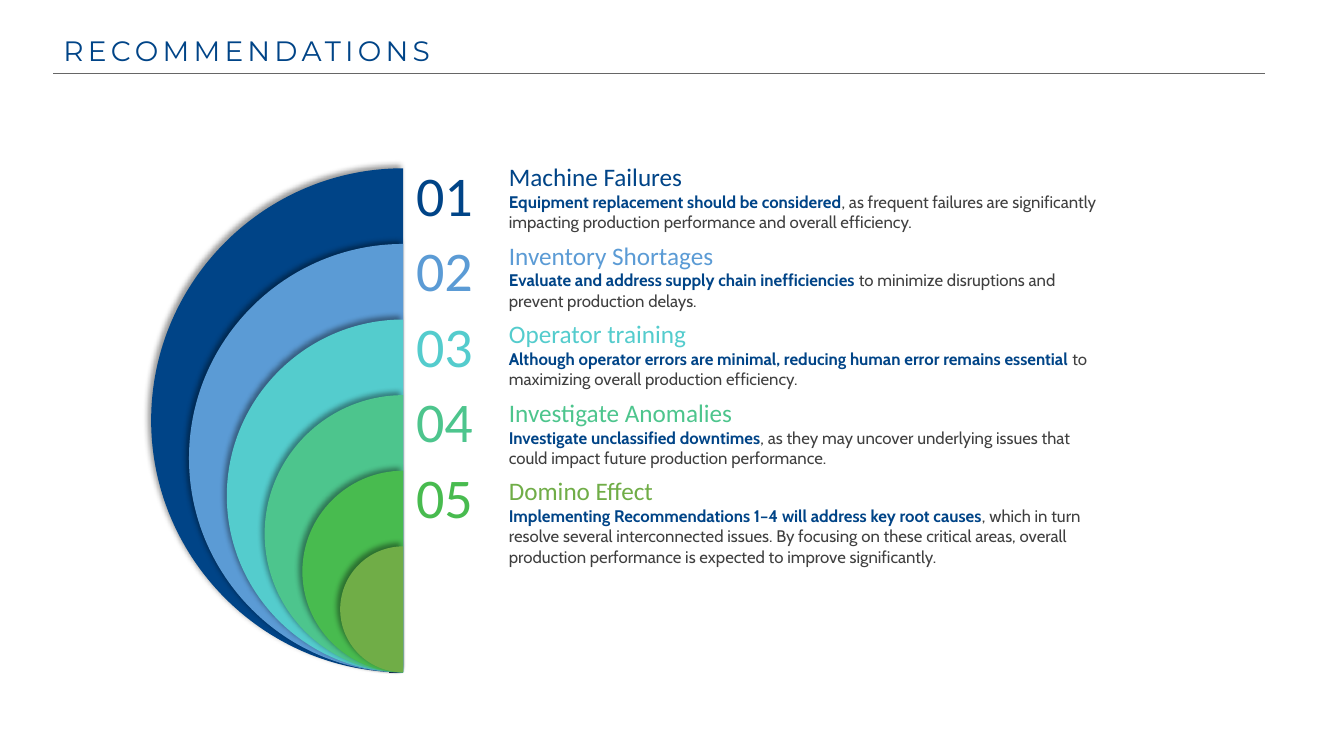
from dataclasses import dataclass

from lxml.etree import SubElement
from pptx import Presentation
from pptx.dml.color import RGBColor
from pptx.enum.shapes import MSO_CONNECTOR
from pptx.enum.text import MSO_ANCHOR, MSO_AUTO_SIZE, PP_ALIGN
from pptx.oxml.ns import qn
from pptx.slide import Slide
from pptx.text.text import TextFrame, _Paragraph
from pptx.util import Inches, Pt


@dataclass(frozen=True)
class Theme:
    navy: str = "004487"
    body: str = "404040"
    rule: str = "666666"
    base: str = "1E3256"
    bands: tuple[str, ...] = ("004487", "5B9BD5", "54CCCD", "4DC58D", "48BB4F", "70AD47")
    title_font: str = "Montserrat"
    heading_font: str = "Calibri"
    body_font: str = "Cabin"
    title_size: int = 20
    number_size: int = 40
    heading_size: int = 18
    body_size: int = 12


@dataclass(frozen=True)
class Recommendation:
    heading: str
    key_point: str
    detail: str
    heading_color: str
    height: float = 0.81


THEME = Theme()
RECOMMENDATIONS = [
    Recommendation(
        "Machine Failures", "Equipment replacement should be considered",
        ", as frequent failures are significantly impacting production performance "
        "and overall efficiency.", THEME.bands[0]),
    Recommendation(
        "Inventory Shortages", "Evaluate and address supply chain inefficiencies ",
        "to minimize disruptions and prevent production delays.", THEME.bands[1]),
    Recommendation(
        "Operator training",
        "Although operator errors are minimal, reducing human error remains essential ",
        "to maximizing overall production efficiency.", THEME.bands[2]),
    Recommendation(
        "Investigate Anomalies", "Investigate unclassified downtimes",
        ", as they may uncover underlying issues that could impact future "
        "production performance.", THEME.bands[3]),
    Recommendation(
        "Domino Effect", "Implementing Recommendations 1–4 will address key root causes",
        ", which in turn resolve several interconnected issues. By focusing on these "
        "critical areas, overall production performance is expected to improve "
        "significantly.", THEME.bands[5], 1.01),
]

# Half discs share a flat right edge and a common base
DISC_RIGHT, DISC_TOP, DISC_BASE = 4.0, 1.67, 6.67
BAND_STEP = 0.75
ARC_HANDLE = 0.55  # control point distance of a quarter circle, in radii
NUMBER_TOP = 1.54
TEXT_TOP, TEXT_STEP = 1.55, 0.78


def add_run(paragraph: _Paragraph, text: str, font: str, size: int, color: str,
            bold: bool = False, spacing: int = 0) -> None:
    run = paragraph.add_run()
    run.text = text
    for name, value in {"name": font, "size": Pt(size), "bold": bold}.items():
        setattr(run.font, name, value)
    run.font.color.rgb = RGBColor.from_string(color)
    if spacing:
        run.font._element.set("spc", str(spacing * 100))


def add_text_box(slide: Slide, left: float, top: float, width: float,
                 height: float) -> TextFrame:
    box = slide.shapes.add_textbox(Inches(left), Inches(top), Inches(width), Inches(height))
    box.text_frame.word_wrap = True
    box.text_frame.auto_size = MSO_AUTO_SIZE.SHAPE_TO_FIT_TEXT
    return box.text_frame


def add_line(slide: Slide, left: float, right: float, top: float, color: str,
             width: float) -> None:
    line = slide.shapes.add_connector(MSO_CONNECTOR.STRAIGHT, Inches(left), Inches(top),
                                      Inches(right), Inches(top))
    line.line.color.rgb = RGBColor.from_string(color)
    line.line.width = Pt(width)
    SubElement(line._element.spPr, qn("a:effectLst"))


def add_title(slide: Slide, text: str) -> None:
    title = slide.shapes.title
    place = {"left": 0.53, "top": 0.28, "width": 4.06, "height": 0.44}
    for name, value in place.items():
        setattr(title, name, Inches(value))
    frame = title.text_frame
    frame_format = {"word_wrap": False, "vertical_anchor": MSO_ANCHOR.TOP,
                    "auto_size": MSO_AUTO_SIZE.SHAPE_TO_FIT_TEXT}
    for name, value in frame_format.items():
        setattr(frame, name, value)
    paragraph = frame.paragraphs[0]
    paragraph.alignment = PP_ALIGN.LEFT
    add_run(paragraph, text, THEME.title_font, THEME.title_size, THEME.navy, spacing=3)


def add_half_disc(slide: Slide, top: float, color: str) -> None:
    radius = (DISC_BASE - top) / 2
    # Two quarter arcs: offsets left of the edge and below the centre, in radii
    offsets = [(0, -1), (ARC_HANDLE, -1), (1, -ARC_HANDLE), (1, 0),
               (1, ARC_HANDLE), (ARC_HANDLE, 1), (0, 1)]
    points = [(Inches(DISC_RIGHT - radius * across), Inches(top + radius * (1 + down)))
              for across, down in offsets]
    builder = slide.shapes.build_freeform(*points[0])
    builder.add_line_segments(points[1:], close=True)
    disc = builder.convert_to_shape()

    # Each three segments become one curve
    segments = list(disc._element.iter(qn("a:lnTo")))
    for start in range(0, len(segments), 3):
        curve = segments[start]
        outline = curve.getparent()
        bezier = outline.makeelement(qn("a:cubicBezTo"))
        outline.replace(curve, bezier)
        for segment in segments[start:start + 3]:
            bezier.append(segment[0])
            if segment is not curve:
                outline.remove(segment)

    disc.fill.solid()
    disc.fill.fore_color.rgb = RGBColor.from_string(color)
    disc.line.fill.background()
    disc.shadow.inherit = False
    effects = disc._element.spPr.find(qn("a:effectLst"))
    shadow = SubElement(effects, qn("a:outerShdw"), blurRad=str(Pt(4)), dist=str(Pt(3)),
                        dir=str(225 * 60000), algn="br", rotWithShape="0")
    black = SubElement(shadow, qn("a:srgbClr"), val="000000")
    SubElement(black, qn("a:alpha"), val="40000")


def add_recommendation(slide: Slide, index: int, item: Recommendation) -> None:
    number = add_text_box(slide, 4.03, NUMBER_TOP + index * BAND_STEP, 1.1, 0.77)
    add_run(number.paragraphs[0], f"{index + 1:02}", THEME.heading_font,
            THEME.number_size, THEME.bands[index])
    frame = add_text_box(slide, 4.95, TEXT_TOP + index * TEXT_STEP, 6.12, item.height)
    add_run(frame.paragraphs[0], item.heading, THEME.heading_font,
            THEME.heading_size, item.heading_color)
    description = frame.add_paragraph()
    add_run(description, item.key_point, THEME.body_font, THEME.body_size, THEME.navy, bold=True)
    add_run(description, item.detail, THEME.body_font, THEME.body_size, THEME.body)


def main() -> None:
    presentation = Presentation()
    presentation.slide_width = Inches(40 / 3)
    presentation.slide_height = Inches(7.5)
    slide = presentation.slides.add_slide(presentation.slide_layouts[5])

    # Title and rule
    add_title(slide, "RECOMMENDATIONS")
    add_line(slide, 0.53, 12.55, 0.73, THEME.rule, 0.5)

    # Nested half discs, largest first, on a short dark base
    add_line(slide, 3.86, DISC_RIGHT, DISC_BASE, THEME.base, 1)
    for index, color in enumerate(THEME.bands):
        add_half_disc(slide, DISC_TOP + index * BAND_STEP, color)

    # Numbers and recommendations
    for index, item in enumerate(RECOMMENDATIONS):
        add_recommendation(slide, index, item)

    presentation.save("out.pptx")


if __name__ == "__main__":
    main()
